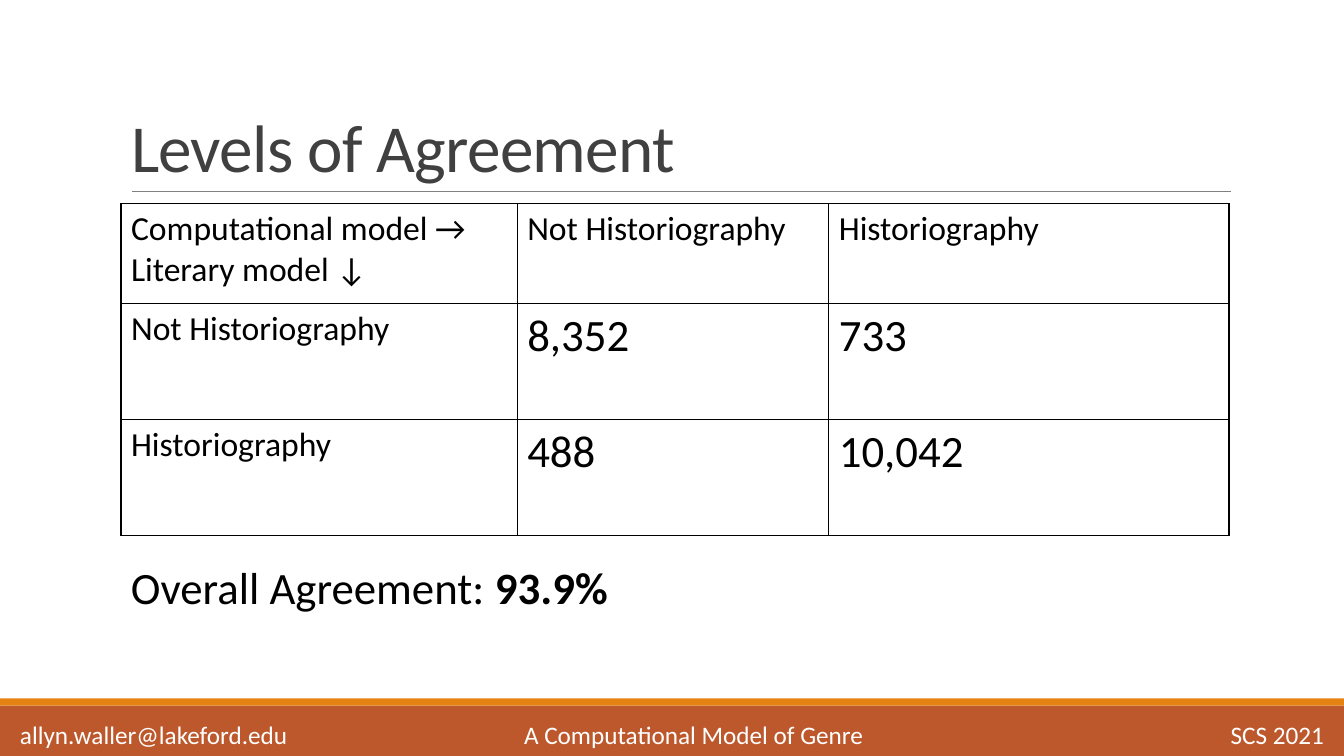
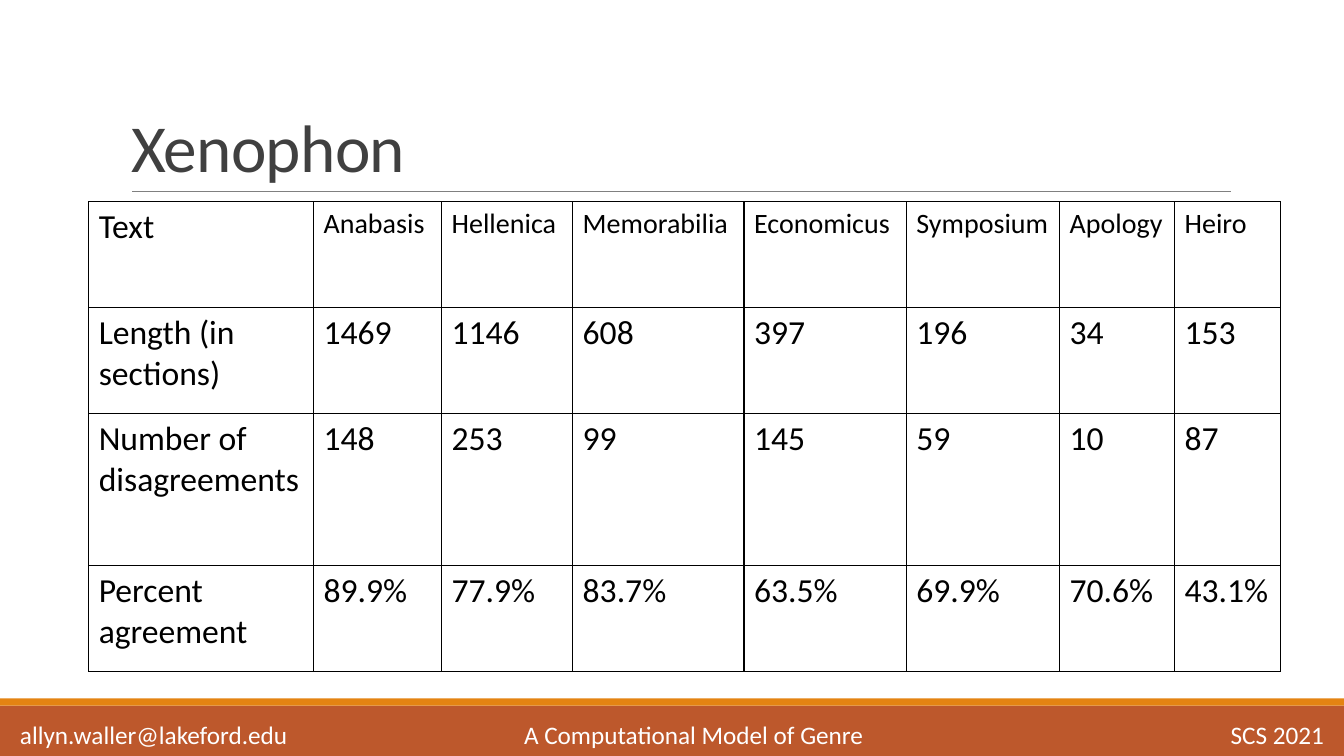
from lxml import etree
from pptx import Presentation
from pptx.dml.color import RGBColor
from pptx.enum.shapes import MSO_CONNECTOR, MSO_SHAPE
from pptx.enum.text import MSO_ANCHOR, MSO_AUTO_SIZE, PP_ALIGN
from pptx.oxml.ns import qn
from pptx.util import Inches, Pt

RECT, STRAIGHT = MSO_SHAPE.RECTANGLE, MSO_CONNECTOR.STRAIGHT
LEFT, CENTER, RIGHT = PP_ALIGN.LEFT, PP_ALIGN.CENTER, PP_ALIGN.RIGHT
BOTTOM, NO_FIT = MSO_ANCHOR.BOTTOM, MSO_AUTO_SIZE.NONE

FONT = "Calibri"
BLACK, WHITE, GRAY, RULE = "000000", "FFFFFF", "404040", "808080"
RUST, ORANGE = "BD582C", "E48312"
TITLE_ONLY = 5

# Footer entries: text, left, width, alignment
FOOTER = [
    ("allyn.waller@lakeford.edu", 0.1, 4, LEFT),
    ("A Computational Model of Genre", 4.88, 4, CENTER),
    ("SCS 2021", 9.23, 4, RIGHT),
]


def rgb(color):
    return RGBColor.from_string(color)


def style(p, size, color=BLACK, align=LEFT):
    p.alignment = align
    p.font.name, p.font.size = FONT, Pt(size)
    p.font.color.rgb = rgb(color)


def add_band(s, top, height, color):
    sp = s.shapes.add_shape(RECT, 0, Inches(top), Inches(13.33), Inches(height))
    sp.shadow.inherit = False
    sp.fill.solid()
    sp.fill.fore_color.rgb = rgb(color)
    sp.line.fill.background()


def add_text(s, box, parts, size, color=BLACK, align=LEFT):
    """Place one paragraph; parts are (text, bold) pairs."""
    tf = s.shapes.add_textbox(*map(Inches, box)).text_frame
    tf.word_wrap = True
    p = tf.paragraphs[0]
    style(p, size, color, align)
    for text, bold in parts:
        r = p.add_run()
        r.text = text
        if bold:
            r.font.bold = True


def add_title(s, box, text):
    sp = s.shapes.title
    sp.left, sp.top, sp.width, sp.height = map(Inches, box)
    tf = sp.text_frame
    tf.text = text
    tf.auto_size, tf.vertical_anchor = NO_FIT, BOTTOM
    p = tf.paragraphs[0]
    style(p, 48, GRAY)
    p.line_spacing = 0.85
    p.runs[0].font._element.set("spc", "-50")

    # Rule along the bottom of the title
    left, top, width, height = box
    y = Inches(top + height)
    line = s.shapes.add_connector(
        STRAIGHT, Inches(left + 0.11), y, Inches(left + width + 0.01), y)
    line.line.color.rgb, line.line.width = rgb(RULE), Pt(0.5)
    etree.SubElement(line._element.spPr, qn("a:effectLst"))


def add_footer(s, top):
    for text, left, width, align in FOOTER:
        add_text(s, (left, top, width, 0.41), [(text, False)], 18, WHITE, align)


def add_borders(cell):
    tcPr = cell._tc.get_or_add_tcPr()
    for side in ("lnL", "lnR", "lnT", "lnB"):
        ln = etree.SubElement(tcPr, qn("a:" + side), w=str(Pt(1)))
        fill = etree.SubElement(ln, qn("a:solidFill"))
        etree.SubElement(fill, qn("a:srgbClr"), val=BLACK)


def add_grid(s, left, top, widths, heights, rows, size_at):
    """Place a bordered table; size_at(row, col) gives the text size."""
    tbl = s.shapes.add_table(
        len(rows), len(widths), Inches(left), Inches(top),
        Inches(sum(widths)), Inches(sum(heights))).table
    tbl.first_row = tbl.horz_banding = False
    for col, width in zip(tbl.columns, widths):
        col.width = Inches(width)
    for row, height in zip(tbl.rows, heights):
        row.height = Inches(height)
    for i, row in enumerate(rows):
        for j, text in enumerate(row):
            cell = tbl.cell(i, j)
            cell.text = text
            add_borders(cell)
            cell.fill.background()
            for p in cell.text_frame.paragraphs:
                style(p, size_at(i, j))


def new_slide(prs, title):
    s = prs.slides.add_slide(prs.slide_layouts[TITLE_ONLY])
    add_band(s, 7, 0.5, RUST)
    add_band(s, 6.93, 0.07, ORANGE)
    add_title(s, (1.2, 0.31, 11, 1.59), title)
    add_footer(s, 7.09)
    return s


def agreement_slide(prs):
    s = new_slide(prs, "Levels of Agreement")
    rows = [
        ["Computational model →\nLiterary model ↓", "Not Historiography", "Historiography"],
        ["Not Historiography", "8,352", "733"],
        ["Historiography", "488", "10,042"],
    ]
    add_grid(s, 1.2, 2.02, [3.93, 3.09, 3.97], [0.99, 1.15, 1.15], rows,
             lambda i, j: 32 if i and j else 24)
    add_text(s, (1.2, 5.5, 11, 0.64),
             [("Overall Agreement: ", False), ("93.9%", True)], 32)


def xenophon_slide(prs):
    s = new_slide(prs, "Xenophon")
    rows = [
        ["Text", "Anabasis", "Hellenica", "Memorabilia", "Economicus",
         "Symposium", "Apology", "Heiro"],
        ["Length (in sections)", "1469", "1146", "608", "397", "196", "34", "153"],
        ["Number of disagreements", "148", "253", "99", "145", "59", "10", "87"],
        ["Percent agreement", "89.9%", "77.9%", "83.7%", "63.5%", "69.9%",
         "70.6%", "43.1%"],
    ]
    add_grid(s, 0.88, 2, [2.23, 1.27, 1.3, 1.7, 1.61, 1.52, 1.14, 1.05],
             [1.05, 1.05, 1.51, 1.05], rows,
             lambda i, j: 20 if i == 0 and j else 24)


def main():
    prs = Presentation()
    prs.slide_width, prs.slide_height = Inches(13.33), Inches(7.5)
    agreement_slide(prs)
    xenophon_slide(prs)
    prs.save("out.pptx")


if __name__ == "__main__":
    main()
